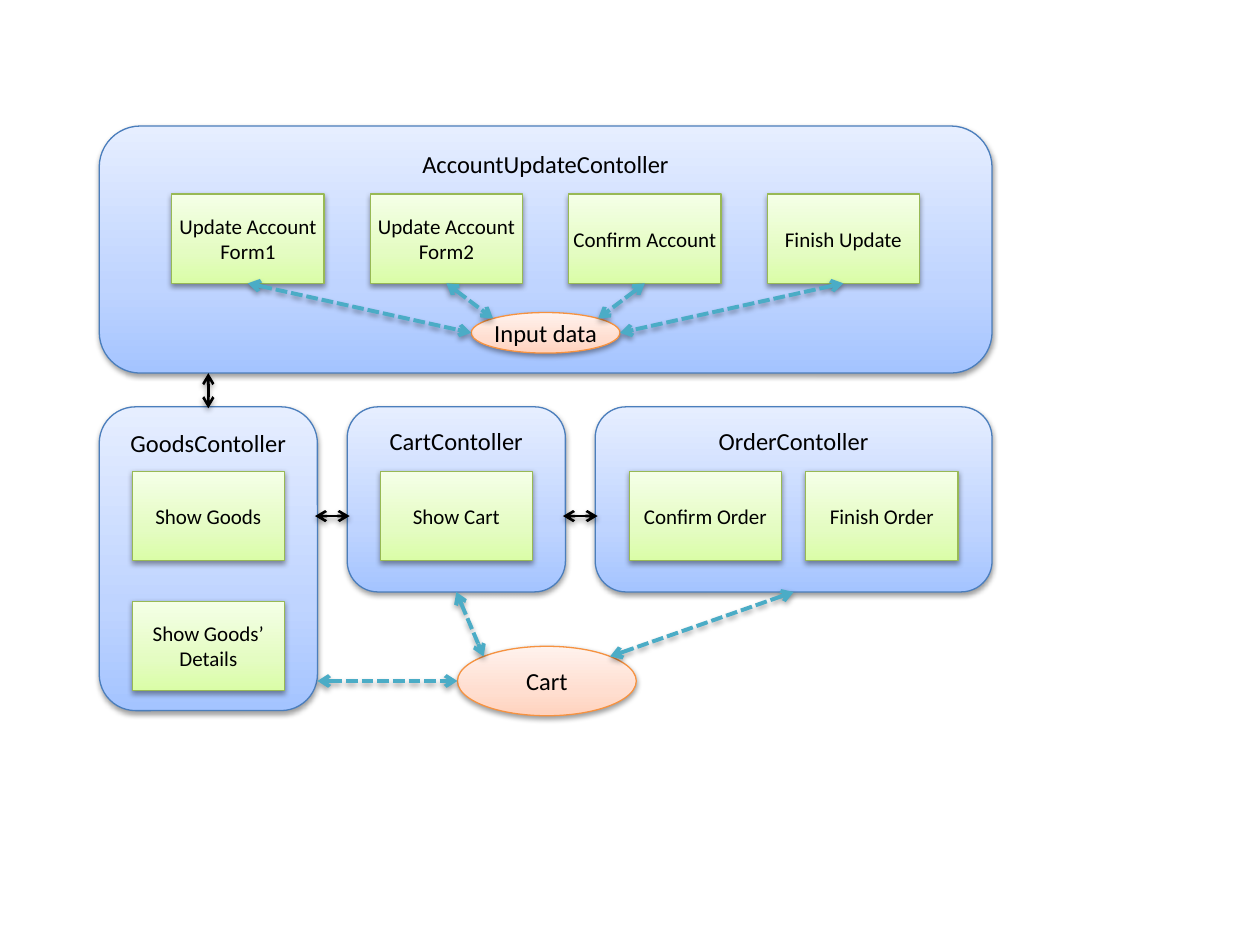
from copy import deepcopy
from math import sqrt

from lxml import etree
from pptx import Presentation
from pptx.dml.color import RGBColor
from pptx.enum import dml, shapes, text
from pptx.oxml import parse_xml
from pptx.oxml.ns import qn
from pptx.util import Pt

# Content: controller -> (label, screens)
CONTROLLERS = {
    "account": ("AccountUpdateContoller", ["Update Account Form1", "Update Account Form2",
                                           "Confirm Account", "Finish Update"]),
    "order": ("OrderContoller", ["Confirm Order", "Finish Order"]),
    "cart": ("CartContoller", ["Show Cart"]),
    "goods": ("GoodsContoller", ["Show Goods", "Show Goods’ Details"]),
}

# Colours: line, then gradient from bottom to top
BLACK = RGBColor(0, 0, 0)
TEAL = RGBColor(0x4B, 0xAC, 0xC6)
BLUE, GREEN, ORANGE = [
    [RGBColor.from_string(code) for code in codes.split()] for codes in (
        "4B7EBC A4C4FF BFD4FF E6EEFF",
        "98B955 DAFDA7 E4FCC2 F5FFE7",
        "F69240 FFD2BD FFDED0 FFF2ED")]
STOPS = (0, 0.35, 1)

# Layout in points: boxes are (left, top, width, height)
LEFT, GAP, NARROW, WIDE = 56.7, 17, 124.7, 226.8
ROW2 = 232.5
CART_LEFT = LEFT + NARROW + GAP
ORDER_LEFT = CART_LEFT + NARROW + GAP
PANELS = {
    "account": (LEFT, 72, ORDER_LEFT + WIDE - LEFT, 141.2),
    "order": (ORDER_LEFT, ROW2, WIDE, 105.8),
    "cart": (CART_LEFT, ROW2, NARROW, 105.8),
    "goods": (LEFT, ROW2, NARROW, 173.6),
}
SCREEN_W, SCREEN_H = 87, 51
SCREEN_TOP = {"account": 110.9}
SCREEN_TOP_ROW2 = 269.4
SCREEN_GAP = {"account": 26.4, "order": 13.8}
GOODS_STEP = 74.2
CART_DATA = (261.4, 369.3, 102.2, 39.7)
INPUT_DATA = (269.3, 178.6, 85, 23.2)
OVERLAP = 1.4

prs = Presentation()
prs.slide_width, prs.slide_height = Pt(720), Pt(540)
slide = prs.slides.add_slide(prs.slide_layouts[6])


def add_shadow(shape, alpha=38, dist=1.57):
    shape._element.spPr.append(parse_xml(
        '<a:effectLst xmlns:a="http://schemas.openxmlformats.org/drawingml/2006/main">'
        f'<a:outerShdw blurRad="{Pt(3.15)}" dist="{Pt(dist)}" dir="5400000" rotWithShape="0">'
        f'<a:srgbClr val="000000"><a:alpha val="{alpha * 1000}"/></a:srgbClr>'
        '</a:outerShdw></a:effectLst>'))


def add_node(label, box, kind, palette, size=14, top=False):
    node = slide.shapes.add_shape(kind, *map(Pt, box))
    node.line.color.rgb, node.line.width = palette[0], Pt(0.75)
    node.fill.gradient()
    node.fill.gradient_angle = 90
    stops = node._element.spPr.find(".//" + qn("a:gsLst"))
    stops.append(deepcopy(stops[0]))
    for stop, position, color in zip(node.fill.gradient_stops, STOPS, palette[1:]):
        stop.position, stop.color.rgb = position, color
    add_shadow(node)

    frame = node.text_frame
    frame.word_wrap = True
    frame.margin_left = frame.margin_right = frame.margin_bottom = 0
    frame.margin_top = Pt(6 if top else 0)
    frame.vertical_anchor = text.MSO_ANCHOR.TOP if top else text.MSO_ANCHOR.MIDDLE
    paragraph = frame.paragraphs[0]
    paragraph.alignment = text.PP_ALIGN.CENTER
    run = paragraph.add_run()
    run.text = label
    run.font.name, run.font.size, run.font.color.rgb = "Calibri", Pt(size), BLACK


def add_arrow(start, end, dashed=True):
    arrow = slide.shapes.add_connector(
        shapes.MSO_CONNECTOR.STRAIGHT, *map(Pt, start + end))
    arrow.line.color.rgb = TEAL if dashed else BLACK
    arrow.line.width = Pt(2.25 if dashed else 1.5)
    if dashed:
        arrow.line.dash_style = dml.MSO_LINE.SQUARE_DOT
    for tag in ("a:headEnd", "a:tailEnd"):
        etree.SubElement(arrow.line._get_or_add_ln(), qn(tag), type="arrow")
    add_shadow(arrow, *((35, 1.8) if dashed else (38, 1.57)))


def at(box, x, y):
    """Point in a box; x and y run from -1 to 1 about its centre."""
    left, top, width, height = box
    return left + width * (1 + x) / 2, top + height * (1 + y) / 2


# Controllers
for key, (label, _) in CONTROLLERS.items():
    add_node(label, PANELS[key], shapes.MSO_SHAPE.ROUNDED_RECTANGLE, BLUE, top=True)

# Screens: stacked for goods, otherwise a centred row
screens = {}
for key, (_, labels) in CONTROLLERS.items():
    left, _, width, _ = PANELS[key]
    columns = 1 if key == "goods" else len(labels)
    gap = SCREEN_GAP.get(key, 0)
    first = left + (width - columns * SCREEN_W - (columns - 1) * gap) / 2
    top = SCREEN_TOP.get(key, SCREEN_TOP_ROW2)
    screens[key] = [(first + i % columns * (SCREEN_W + gap),
                     top + i // columns * GOODS_STEP, SCREEN_W, SCREEN_H)
                    for i in range(len(labels))]
    for label, box in zip(labels, screens[key]):
        add_node(label, box, shapes.MSO_SHAPE.RECTANGLE, GREEN, size=12)

# Shared data
for label, box in (("Cart", CART_DATA), ("Input data", INPUT_DATA)):
    add_node(label, box, shapes.MSO_SHAPE.OVAL, ORANGE)

# Data flows
DIAGONAL = sqrt(0.5)
INPUT_SITES = [(-1, 0), (-DIAGONAL, -DIAGONAL), (DIAGONAL, -DIAGONAL), (1, 0)]
for box, site in zip(screens["account"], INPUT_SITES):
    add_arrow(at(box, 0, 1), at(INPUT_DATA, *site))
cart_left = at(CART_DATA, -1, 0)
add_arrow((LEFT + NARROW, cart_left[1]), cart_left)
for key, side in (("cart", -DIAGONAL), ("order", DIAGONAL)):
    add_arrow(at(PANELS[key], 0, 1), at(CART_DATA, side, -DIAGONAL))

# Transitions between controllers
goods_x = at(PANELS["goods"], 0, 0)[0]
add_arrow((goods_x, ROW2 + 0.8), (goods_x, at(PANELS["account"], 0, 1)[1]), dashed=False)
middle = SCREEN_TOP_ROW2 + SCREEN_H / 2
for right in (CART_LEFT, ORDER_LEFT):
    add_arrow((right - GAP - OVERLAP, middle), (right + OVERLAP, middle), dashed=False)

prs.save("out.pptx")
